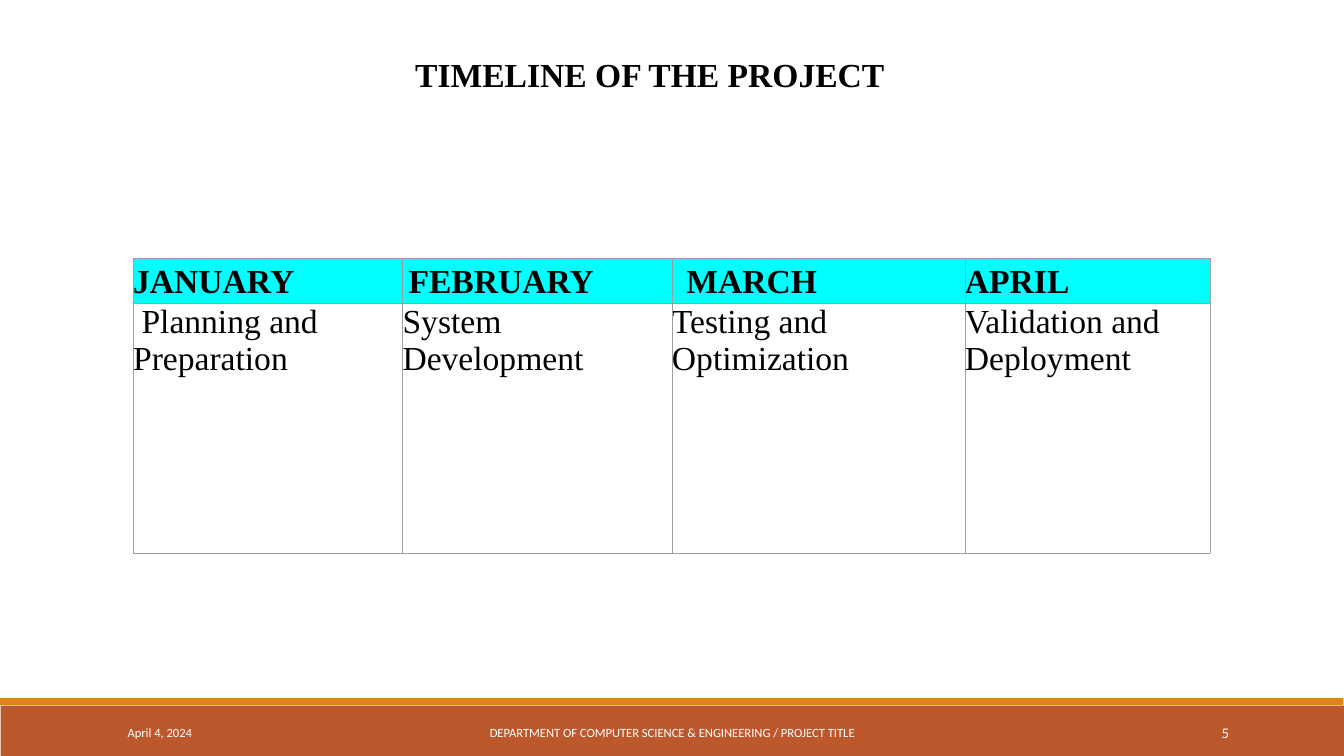
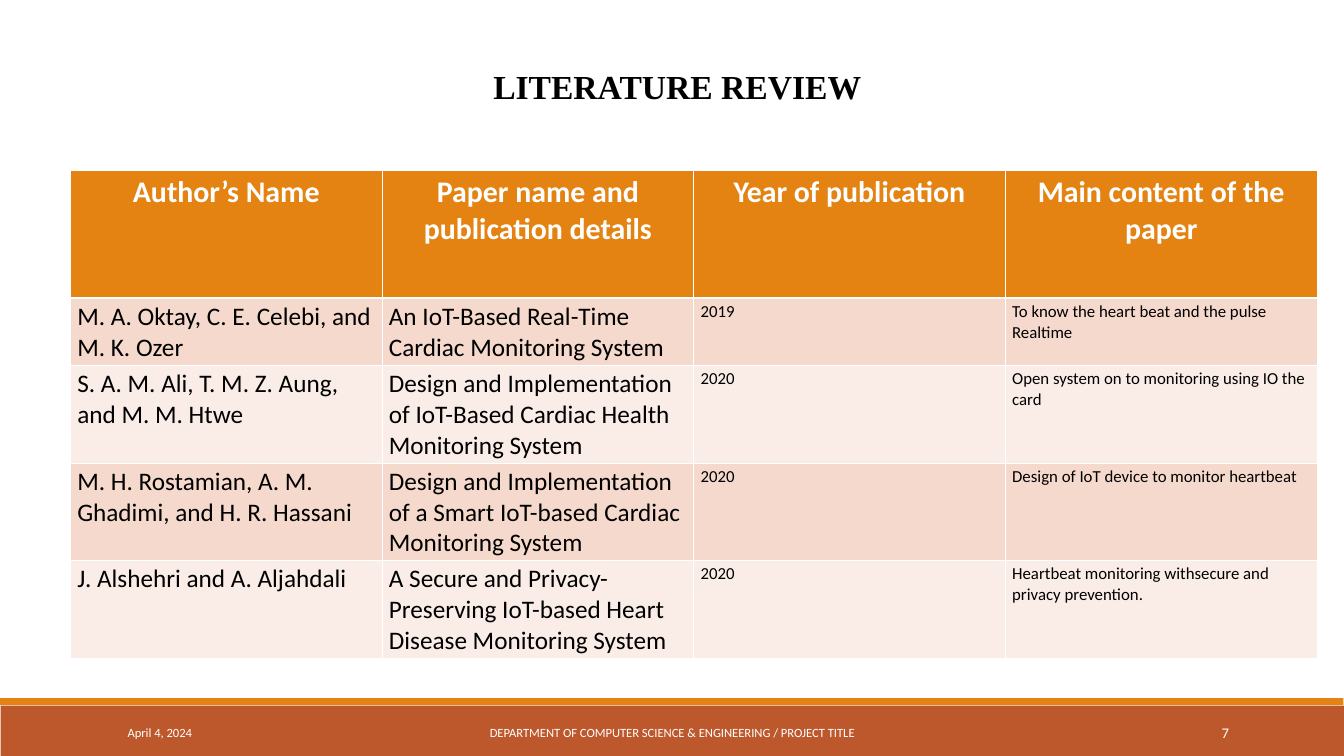
from dataclasses import dataclass
from typing import NamedTuple, Optional

from lxml.etree import SubElement
from pptx import Presentation
from pptx.dml.color import RGBColor
from pptx.enum.shapes import MSO_SHAPE
from pptx.enum.text import MSO_ANCHOR, MSO_AUTO_SIZE, PP_ALIGN
from pptx.oxml.ns import qn
from pptx.util import Pt


@dataclass(frozen=True)
class Theme:
    black: str = "000000"
    white: str = "FFFFFF"
    rust: str = "BD582C"
    orange: str = "E48312"
    cyan: str = "00FFFF"
    grid: str = "9E9E9E"
    bands: tuple[str, str] = ("F5D9CC", "FAEDE7")
    serif: str = "Times New Roman"
    sans: str = "Calibri"
    title: float = 36
    heading: float = 32
    body: float = 27
    small: float = 18
    number: float = 15.8
    footer: float = 13.5


THEME = Theme()


class Box(NamedTuple):
    left: float
    top: float
    width: float
    height: float

    def lengths(self) -> tuple:
        return tuple(Pt(v) for v in self)


class Bar(NamedTuple):
    box: Box
    color: str


class Border(NamedTuple):
    color: str
    width: float


@dataclass(frozen=True)
class Cell:
    text: str
    size: float
    font: str = THEME.sans
    color: str = THEME.black
    bold: bool = False
    align: PP_ALIGN = PP_ALIGN.LEFT
    margin: float = 0
    indent: float = 0
    fill: Optional[str] = None
    insets: tuple[float, float, float, float] = (7.2, 3.6, 7.2, 3.6)
    top: Optional[Border] = None
    bottom: Optional[Border] = None


FOOTER_BARS = (
    Bar(Box(0.75, 756, 1439.25, 54), THEME.rust),
    Bar(Box(0, 748, 1439.25, 7.5), THEME.orange),
)
DATE_BOX = Box(129.6, 763.2, 292.3, 43.2)
DEPARTMENT_BOX = Box(435.6, 763.2, 569.5, 43.2)
NUMBER_BOX = Box(1169.3, 763.2, 154.8, 43.2)

MONTHS = (
    # month, left margin, task, first-line indent
    ("JANUARY", 0, "Planning and Preparation", 9),
    ("FEBRUARY", 6.5, "System Development", 0),
    ("MARCH", 15.5, "Testing and Optimization", 0),
    ("APRIL", 0, "Validation and Deployment", 0),
)
REVIEW_HEADINGS = (
    "Author’s Name", "Paper name and publication details",
    "Year of publication", "Main content of the paper",
)
PAPERS = (
    ("M. A. Oktay, C. E. Celebi, and M. K. Ozer",
     "An IoT-Based Real-Time Cardiac Monitoring System",
     "2019", "To know the heart beat and the pulse Realtime"),
    ("S. A. M. Ali, T. M. Z. Aung, and M. M. Htwe",
     "Design and Implementation of IoT-Based Cardiac Health Monitoring System",
     "2020", "Open system on to monitoring using IO the card"),
    ("M. H. Rostamian, A. M. Ghadimi, and H. R. Hassani",
     "Design and Implementation of a Smart IoT-based Cardiac Monitoring System",
     "2020", "Design of IoT device to monitor heartbeat"),
    ("J. Alshehri and A. Aljahdali",
     "A Secure and Privacy-Preserving IoT-based Heart Disease Monitoring System",
     "2020", "Heartbeat monitoring withsecure and privacy prevention."),
)


def write(tf, text: str, *, size: float, font: str = THEME.sans,
          color: str = THEME.black, bold: bool = False,
          align: PP_ALIGN = PP_ALIGN.LEFT, margin: float = 0,
          indent: float = 0, spacing: Optional[float] = None) -> None:
    """Put one formatted paragraph into a text frame."""
    p = tf.paragraphs[0]
    p.alignment = align
    if spacing:
        p.line_spacing = spacing
    pPr = p._p.get_or_add_pPr()
    pPr.set("marL", str(Pt(margin)))
    pPr.set("indent", str(Pt(indent)))
    r = p.add_run()
    r.text = text
    r.font.size = Pt(size)
    r.font.name = font
    r.font.bold = bold
    r.font.color.rgb = RGBColor.from_string(color)


def add_text(s, box: Box, text: str, *, wrap: bool = True, grow: bool = False,
             anchor: MSO_ANCHOR = MSO_ANCHOR.TOP, **style) -> None:
    tf = s.shapes.add_textbox(*box.lengths()).text_frame
    tf.word_wrap = wrap
    tf.auto_size = MSO_AUTO_SIZE.SHAPE_TO_FIT_TEXT if grow else MSO_AUTO_SIZE.NONE
    tf.vertical_anchor = anchor
    write(tf, text, **style)


def add_title(s, box: Box, text: str, **style) -> None:
    add_text(s, box, text, grow=True, size=THEME.title, font=THEME.serif,
             bold=True, **style)


def add_bar(s, bar: Bar) -> None:
    sp = s.shapes.add_shape(MSO_SHAPE.RECTANGLE, *bar.box.lengths())
    sp.shadow.inherit = False
    sp.fill.solid()
    sp.fill.fore_color.rgb = RGBColor.from_string(bar.color)
    sp.line.fill.background()


def add_footer(s, number: int) -> None:
    for bar in FOOTER_BARS:
        add_bar(s, bar)
    style = dict(color=THEME.white, anchor=MSO_ANCHOR.MIDDLE)
    add_text(s, DATE_BOX, "April 4, 2024", size=THEME.footer, **style)
    add_text(s, DEPARTMENT_BOX,
             "DEPARTMENT OF COMPUTER SCIENCE & ENGINEERING / PROJECT TITLE",
             size=THEME.footer, align=PP_ALIGN.CENTER, **style)
    add_text(s, NUMBER_BOX, str(number), size=THEME.number,
             align=PP_ALIGN.RIGHT, **style)


def set_border(cell, side: str, border: Border) -> None:
    ln = SubElement(cell._tc.get_or_add_tcPr(), qn(f"a:ln{side}"),
                    w=str(Pt(border.width)))
    fill = SubElement(ln, qn("a:solidFill"))
    SubElement(fill, qn("a:srgbClr"), val=border.color)


def fill_cell(cell, content: Cell, border: Border) -> None:
    sides = dict(L=border, R=border, T=content.top or border,
                 B=content.bottom or border)
    for side, line in sides.items():
        set_border(cell, side, line)
    if content.fill:
        cell.fill.solid()
        cell.fill.fore_color.rgb = RGBColor.from_string(content.fill)
    else:
        cell.fill.background()
    (cell.margin_left, cell.margin_top,
     cell.margin_right, cell.margin_bottom) = map(Pt, content.insets)
    write(cell.text_frame, content.text, size=content.size, font=content.font,
          color=content.color, bold=content.bold, align=content.align,
          margin=content.margin, indent=content.indent)


def add_grid(s, left: float, top: float, widths: list[float],
             heights: list[float], rows: list[list[Cell]],
             border: Border) -> None:
    box = Box(left, top, sum(widths), sum(heights))
    table = s.shapes.add_table(len(rows), len(widths), *box.lengths()).table
    table.first_row = table.horz_banding = False
    for column, width in zip(table.columns, widths):
        column.width = Pt(width)
    for row, height, contents in zip(table.rows, heights, rows):
        row.height = Pt(height)
        for cell, content in zip(row.cells, contents):
            fill_cell(cell, content, border)


def add_slide(prs, number: int):
    s = prs.slides.add_slide(prs.slide_layouts[6])
    add_footer(s, number)
    return s


def build_timeline(prs) -> None:
    s = add_slide(prs, 5)
    add_title(s, Box(437.8, 54.7, 522.7, 51), "TIMELINE OF THE PROJECT", wrap=False)
    style = dict(size=THEME.title, font=THEME.serif)
    months = [Cell(month, bold=True, margin=margin, fill=THEME.cyan,
                   insets=(0, 5.8, 0, 0), **style)
              for month, margin, _, _ in MONTHS]
    tasks = [Cell(task, indent=indent, insets=(0, 0, 0, 0), **style)
             for _, _, task, indent in MONTHS]
    add_grid(s, 142.6, 276.5, [288.7, 288.7, 313.9, 262.8], [49, 267],
             [months, tasks], Border(THEME.grid, 0.75))


def build_review(prs) -> None:
    s = add_slide(prs, 7)
    add_title(s, Box(43.9, 45.4, 1327.7, 64.8), "LITERATURE REVIEW",
              align=PP_ALIGN.CENTER, margin=36, spacing=1.5)
    rule = Border(THEME.white, 3)
    rows = [[Cell(text, THEME.heading, color=THEME.white, bold=True,
                  align=PP_ALIGN.CENTER, fill=THEME.orange, bottom=rule)
             for text in REVIEW_HEADINGS]]
    sizes = (THEME.body, THEME.body, THEME.small, THEME.small)
    for i, paper in enumerate(PAPERS):
        rows.append([Cell(text, size, fill=THEME.bands[i % 2],
                          top=rule if i == 0 else None)
                     for text, size in zip(paper, sizes)])
    add_grid(s, 75.6, 183, [333.9] * len(REVIEW_HEADINGS),
             [136.5] + [65] * len(PAPERS), rows, Border(THEME.white, 1))


def main() -> None:
    prs = Presentation()
    prs.slide_width, prs.slide_height = Pt(1440), Pt(810)
    build_timeline(prs)
    build_review(prs)
    prs.save("out.pptx")


if __name__ == "__main__":
    main()
